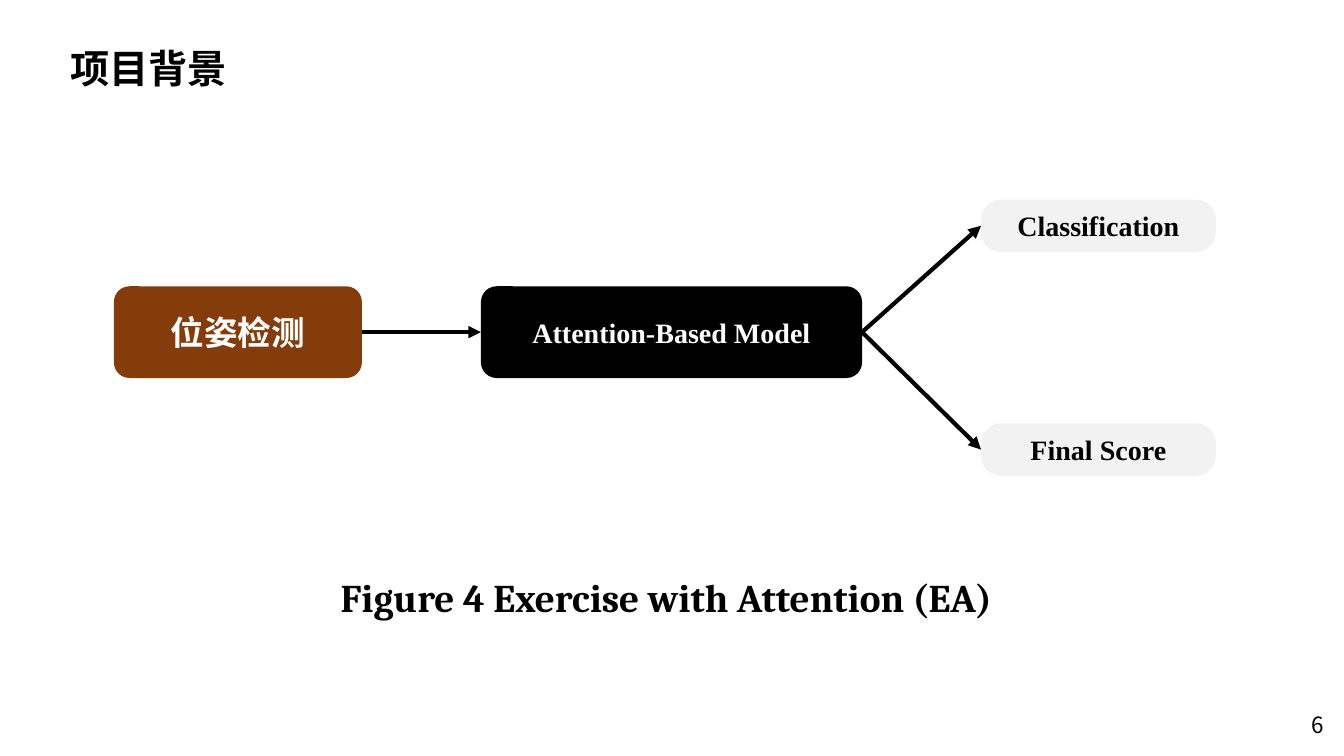
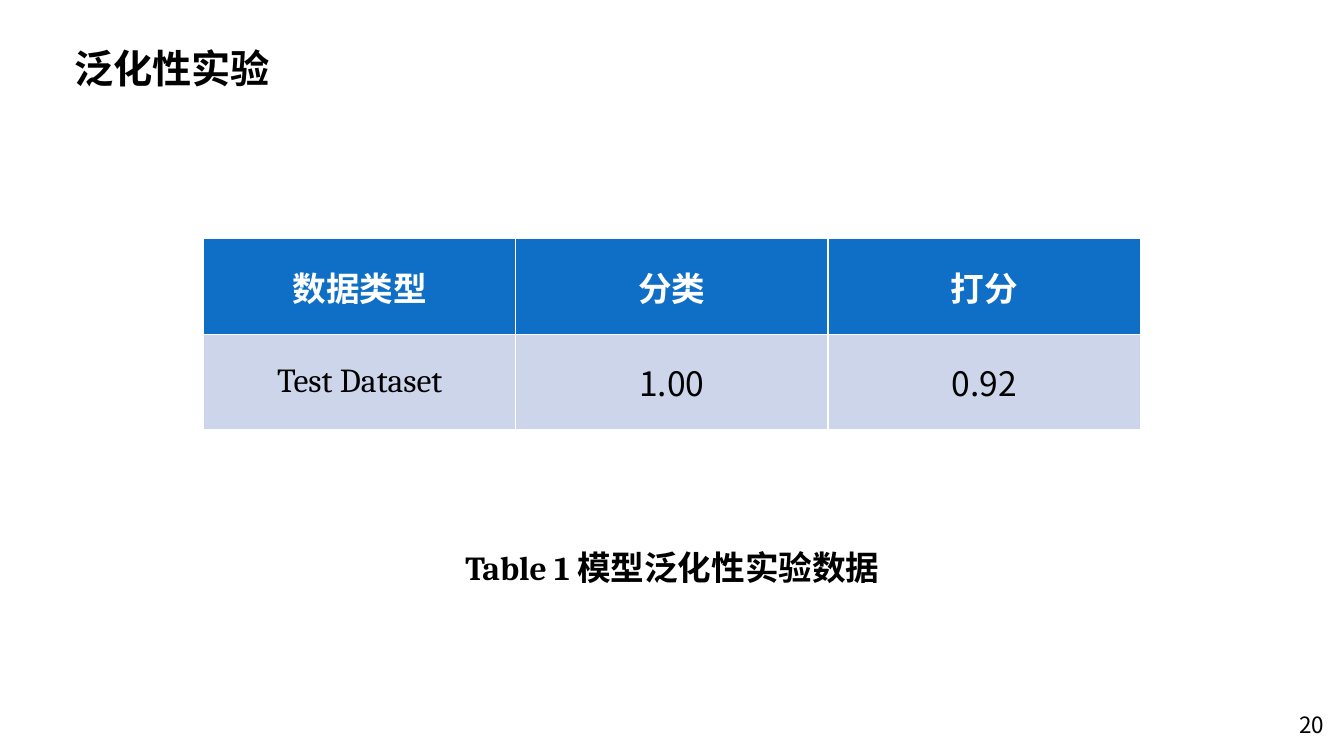
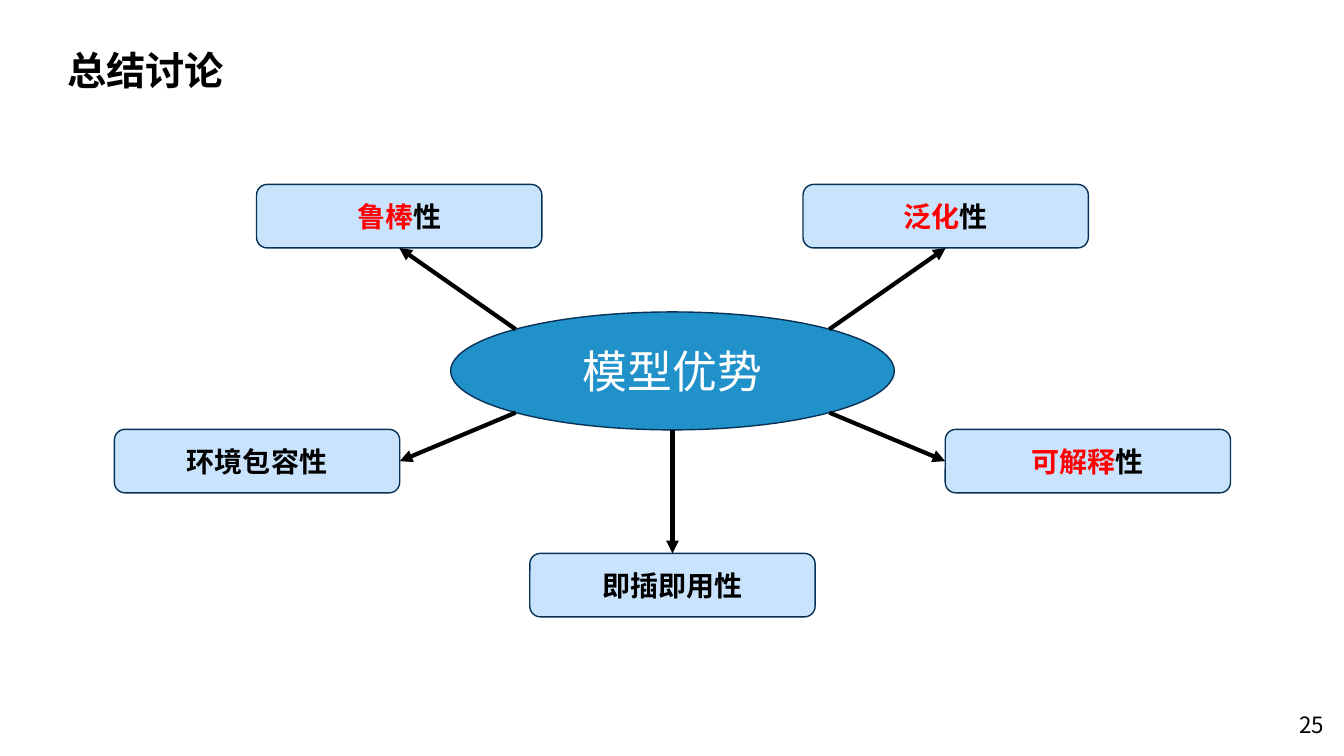
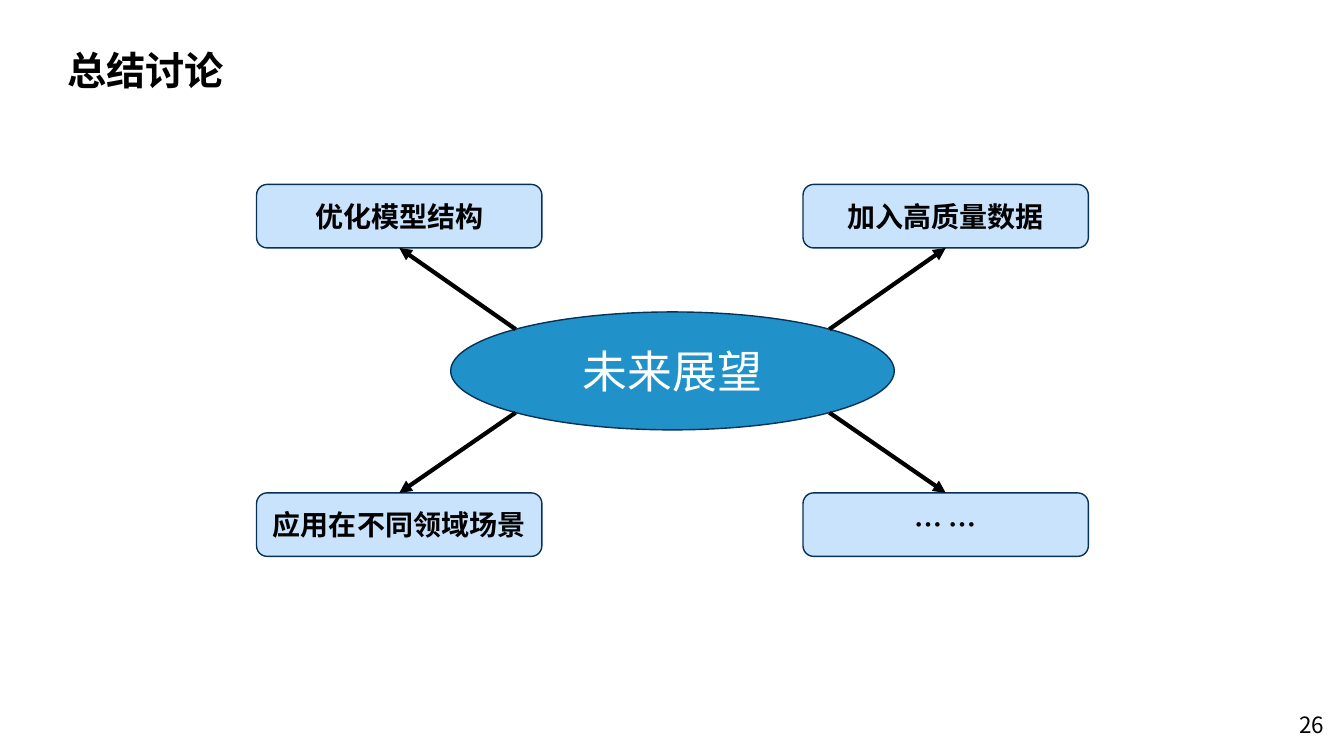
import math

import lxml.etree
import pptx
import pptx.dml.color
import pptx.enum.shapes
import pptx.enum.text
import pptx.oxml.ns
import pptx.util

Inches = pptx.util.Inches
Shapes = pptx.enum.shapes.MSO_SHAPE
Align = pptx.enum.text.PP_ALIGN
Anchor = pptx.enum.text.MSO_ANCHOR
AutoSize = pptx.enum.text.MSO_AUTO_SIZE
RGB = pptx.dml.color.RGBColor.from_string
qn = pptx.oxml.ns.qn

COLORS = {
    "black": "000000",
    "white": "FFFFFF",
    "brown": "843C0B",
    "grey": "F2F2F2",
    "header": "0F6FC6",
    "row": "CCD5EA",
    "hub": "2191C9",
    "branch": "C8E3FB",
    "outline": "073157",
    "highlight": "FF0000",
}
SANS, SERIF, TIMES = "Noto Sans CJK SC", "Cambria", "Times New Roman"
TOP, LEFT, BOTTOM, RIGHT = range(4)

TITLE = {"size": pptx.util.Pt(28), "bold": True, "name": SANS}
PAGE_NUMBER = {"size": pptx.util.Pt(16), "bold": False, "name": SANS}
FIGURE_CAPTION = {"size": pptx.util.Pt(28), "bold": True, "name": SERIF}
TABLE_CAPTION = {"size": pptx.util.Pt(24), "bold": True, "name": SERIF}
STAGE = {"size": pptx.util.Pt(20), "bold": True, "name": TIMES}
FIRST_STAGE = {**STAGE, "size": pptx.util.Pt(24)}
HEADER = {"size": pptx.util.Pt(24), "bold": True, "name": SANS}
VALUE = {**HEADER, "bold": False}
ROW_NAME = {**VALUE, "name": SERIF}
HUB = {"size": pptx.util.Pt(32), "bold": False, "name": SANS}
BRANCH = {"size": pptx.util.Pt(20), "bold": True, "name": SANS}


def write_text(frame, runs, style, alignment=Align.CENTER, anchor=Anchor.MIDDLE):
    frame.word_wrap = True
    frame.vertical_anchor = anchor
    paragraph = frame.paragraphs[0]
    paragraph.alignment = alignment
    for text, color in runs:
        run = paragraph.add_run()
        run.text = text
        for attribute, value in style.items():
            setattr(run.font, attribute, value)
        run.font.color.rgb = RGB(COLORS[color])
        east_asian = lxml.etree.SubElement(run._r.get_or_add_rPr(), qn("a:ea"))
        east_asian.set("typeface", SANS)


def draw_arrow(slide, start_x, start_y, target, side):
    arrow = slide.shapes.add_connector(
        pptx.enum.shapes.MSO_CONNECTOR.STRAIGHT, start_x, start_y, start_x, start_y
    )
    arrow.end_connect(target, side)
    arrow.line.width = pptx.util.Pt(3)
    arrow.line.color.rgb = RGB(COLORS["black"])
    line = arrow.line._get_or_add_ln()
    lxml.etree.SubElement(line, qn("a:tailEnd")).set("type", "triangle")
    lxml.etree.SubElement(arrow._element.spPr, qn("a:effectLst"))
    return arrow


presentation = pptx.Presentation()
presentation.slide_width = Inches(13.33)
presentation.slide_height = Inches(7.5)

pages = [
    ("项目背景", "6", 0.59, 0.39, 1.77),
    ("泛化性实验", "20", 0.62, 0.39, 2.17),
    ("总结讨论", "25", 0.56, 0.41, 1.77),
    ("总结讨论", "26", 0.56, 0.41, 1.77),
]
slides = []
for heading, number, left, top, width in pages:
    slide = presentation.slides.add_slide(presentation.slide_layouts[5])
    title = slide.shapes.title
    title.left, title.top = Inches(left), Inches(top)
    title.width, title.height = Inches(width), Inches(0.57)
    write_text(title.text_frame, [(heading, "black")], TITLE, anchor=Anchor.TOP)
    title.text_frame.word_wrap = False
    title.text_frame.auto_size = AutoSize.SHAPE_TO_FIT_TEXT
    page_number = slide.shapes.add_textbox(
        Inches(10.23), Inches(6.99), Inches(3), Inches(0.4)
    )
    write_text(page_number.text_frame, [(number, "black")], PAGE_NUMBER, Align.RIGHT)
    slides.append(slide)
pipeline_slide, table_slide, *map_slides = slides

captions = [
    (pipeline_slide, "Figure 4 Exercise with Attention (EA)", FIGURE_CAPTION,
     Align.LEFT, 3.28, 5.64, 6.77, 0.57),
    (table_slide, "Table 1 模型泛化性实验数据", TABLE_CAPTION,
     Align.CENTER, 2.44, 5.38, 8.46, 0.5),
]
for slide, text, style, alignment, *place in captions:
    caption = slide.shapes.add_textbox(*map(Inches, place))
    write_text(caption.text_frame, [(text, "black")], style, alignment, Anchor.TOP)

stages = [
    ("位姿检测", FIRST_STAGE, "brown", "white", 0.17, 1.13, 2.84, 2.46, 0.91),
    ("Attention-Based Model", STAGE, "black", "white", 0.17, 4.77, 2.84, 3.78, 0.91),
    ("Classification", STAGE, "grey", "black", 0.38, 9.73, 1.98, 2.33, 0.52),
    ("Final Score", STAGE, "grey", "black", 0.38, 9.73, 4.2, 2.33, 0.52),
]
boxes = []
for text, style, fill, color, corner, *place in stages:
    box = pipeline_slide.shapes.add_shape(
        Shapes.ROUNDED_RECTANGLE, *map(Inches, place)
    )
    box.adjustments[0] = corner
    box.shadow.inherit = False
    box.fill.solid()
    box.fill.fore_color.rgb = RGB(COLORS[fill])
    box.line.fill.background()
    write_text(box.text_frame, [(text, color)], style)
    boxes.append(box)
detection, model, classification, score = boxes
for source, target in [(detection, model), (model, classification), (model, score)]:
    arrow = draw_arrow(
        pipeline_slide,
        source.left + source.width,
        source.top + source.height // 2,
        target,
        LEFT,
    )
    arrow.begin_connect(source, RIGHT)

rows = [
    ("header", "white", [("数据类型", HEADER), ("分类", HEADER), ("打分", HEADER)]),
    ("row", "black", [("Test Dataset", ROW_NAME), ("1.00", VALUE), ("0.92", VALUE)]),
]
table = table_slide.shapes.add_table(
    2, 3, Inches(2.02), Inches(2.37), Inches(9.29), Inches(1.89)
).table
for row_index, (fill, color, entries) in enumerate(rows):
    for column_index, (text, style) in enumerate(entries):
        cell = table.cell(row_index, column_index)
        cell.fill.solid()
        cell.fill.fore_color.rgb = RGB(COLORS[fill])
        cell.vertical_anchor = Anchor.MIDDLE
        write_text(cell.text_frame, [(text, color)], style)

maps = [
    ("模型优势", [
        ("鲁棒", "性", -2.71, 1.83, 225, BOTTOM),
        ("泛化", "性", 2.71, 1.83, 315, BOTTOM),
        ("", "环境包容性", -4.12, 4.26, 135, RIGHT),
        ("可解释", "性", 4.12, 4.26, 45, LEFT),
        ("", "即插即用性", 0, 5.49, 90, TOP),
    ]),
    ("未来展望", [
        ("", "优化模型结构", -2.71, 1.83, 225, BOTTOM),
        ("", "加入高质量数据", 2.71, 1.83, 315, BOTTOM),
        ("", "应用在不同领域场景", -2.71, 4.89, 135, TOP),
        ("", "… …", 2.71, 4.89, 45, TOP),
    ]),
]
center_x, center_y = 6.67, 3.68
hub_width, hub_height = 4.4, 1.17
branch_width, branch_height = 2.83, 0.63
for slide, (topic, branches) in zip(map_slides, maps):
    hub = slide.shapes.add_shape(
        Shapes.OVAL,
        Inches(center_x - hub_width / 2),
        Inches(center_y - hub_height / 2),
        Inches(hub_width),
        Inches(hub_height),
    )
    write_text(hub.text_frame, [(topic, "white")], HUB)
    nodes = [(hub, "hub")]
    for emphasis, rest, offset, top, angle, side in branches:
        branch = slide.shapes.add_shape(
            Shapes.ROUNDED_RECTANGLE,
            Inches(center_x + offset - branch_width / 2),
            Inches(top),
            Inches(branch_width),
            Inches(branch_height),
        )
        runs = [(emphasis, "highlight"), (rest, "black")]
        write_text(branch.text_frame, [run for run in runs if run[0]], BRANCH)
        nodes.append((branch, "branch"))
        draw_arrow(
            slide,
            Inches(center_x + hub_width / 2 * math.cos(math.radians(angle))),
            Inches(center_y + hub_height / 2 * math.sin(math.radians(angle))),
            branch,
            side,
        )
    for node, fill in nodes:
        node.shadow.inherit = False
        node.fill.solid()
        node.fill.fore_color.rgb = RGB(COLORS[fill])
        node.line.color.rgb = RGB(COLORS["outline"])
        node.line.width = pptx.util.Pt(1)

presentation.save("out.pptx")
